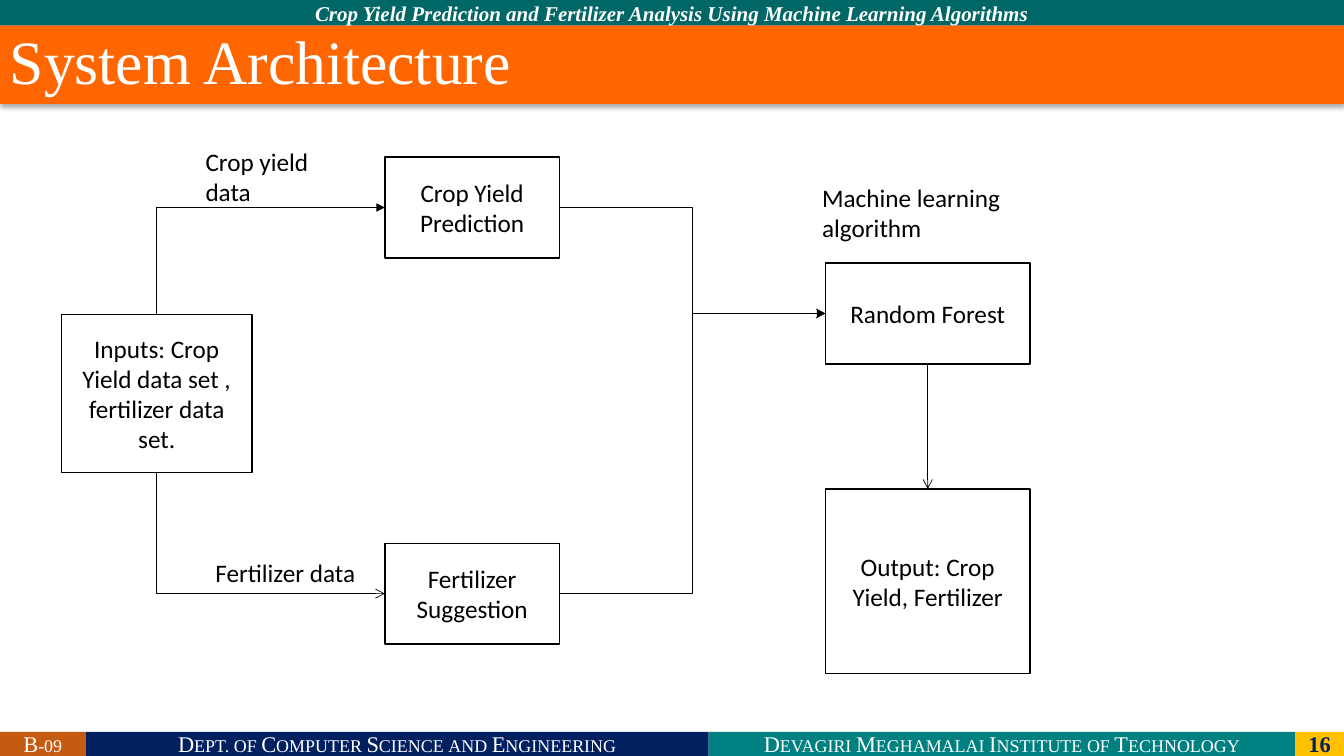
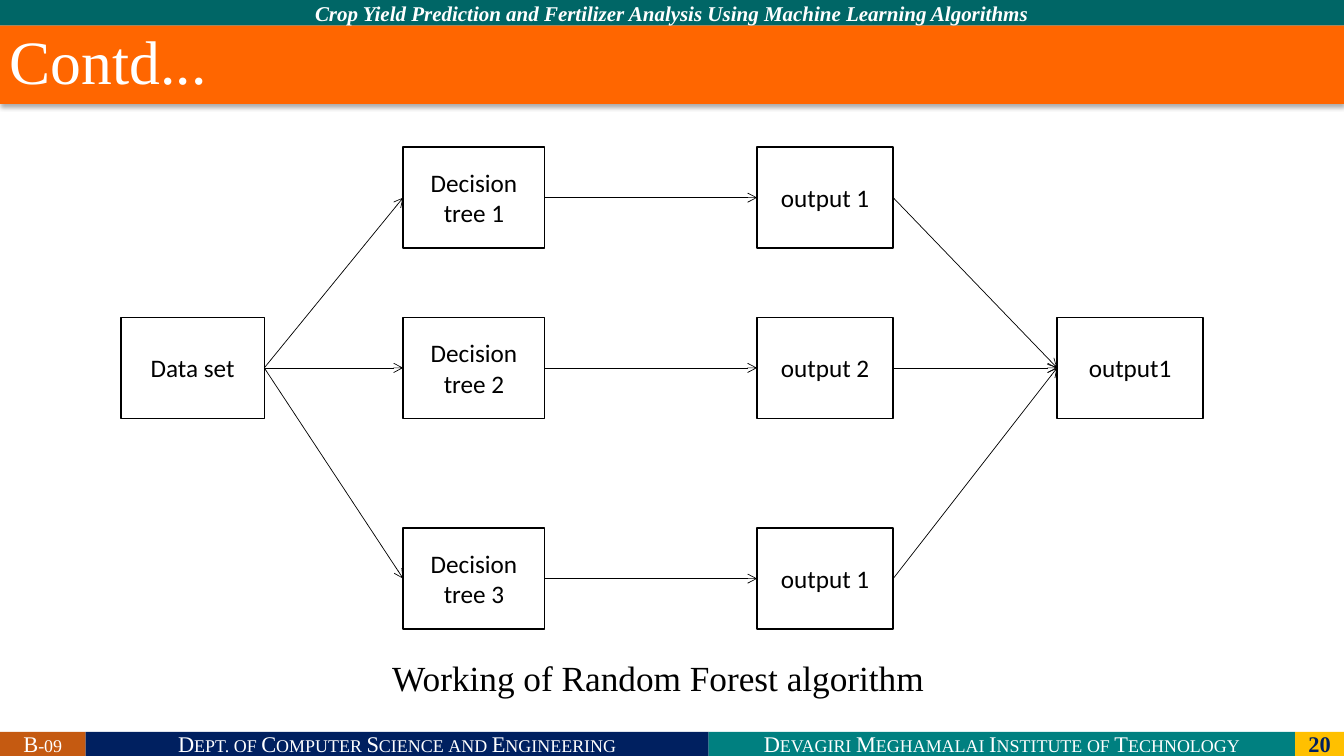
from dataclasses import dataclass
from enum import Enum

from lxml import etree
from pptx import Presentation
from pptx import util as u
from pptx.dml import color
from pptx.enum import shapes, text
from pptx.oxml import ns

SERIF = "Times New Roman"
SANS = "Calibri"
BLACK, WHITE, NAVY = "000000", "FFFFFF", "002060"
SLIDE_WIDTH, SLIDE_HEIGHT = 33.87, 19.05
HEADER_HEIGHT, TITLE_HEIGHT, FOOTER_HEIGHT = 0.64, 1.98, 0.61
FOOTER_EDGES = (0, 2.16, 17.86, 32.64, SLIDE_WIDTH)
BOX_HEIGHT = 2.54


class Side(Enum):
    TOP = 0
    LEFT = 1
    BOTTOM = 2
    RIGHT = 3


@dataclass(frozen=True)
class Area:
    left: float
    top: float
    width: float
    height: float = BOX_HEIGHT

    def lengths(self) -> tuple:
        return tuple(u.Cm(n) for n in (self.left, self.top, self.width, self.height))


@dataclass(frozen=True)
class Style:
    size: float
    font: str = SANS
    colour: str = BLACK
    bold: bool = False
    italic: bool = False
    small_caps: bool = False
    align: text.PP_ALIGN = text.PP_ALIGN.CENTER


@dataclass(frozen=True)
class Band:
    wording: str
    fill: str
    style: Style


@dataclass(frozen=True)
class Node:
    wording: str
    area: Area


@dataclass(frozen=True)
class Link:
    start: str
    start_side: Side
    finish: str
    finish_side: Side
    geometry: str = "line"
    arrow: str = "arrow"
    arrow_end: str = "tailEnd"


NODE_STYLE = Style(18)
LABEL_STYLE = Style(18, align=text.PP_ALIGN.LEFT)
CAPTION_STYLE = Style(25.2, SERIF)
TITLE_STYLE = Style(44, SERIF, WHITE, align=text.PP_ALIGN.LEFT)
HEADER_STYLE = Style(15, SERIF, WHITE, bold=True, italic=True)
FOOTER_STYLE = Style(16, SERIF, WHITE, small_caps=True)
NUMBER_STYLE = Style(16, SERIF, NAVY, bold=True)

HEADER = Band(
    "Crop Yield Prediction and Fertilizer Analysis Using Machine Learning Algorithms",
    "006666",
    HEADER_STYLE,
)
FOOTERS = (
    Band("B-09", "C55A11", FOOTER_STYLE),
    Band("Dept. of Computer Science and Engineering", NAVY, FOOTER_STYLE),
    Band("Devagiri Meghamalai Institute of Technology", "008080", FOOTER_STYLE),
)

ARCHITECTURE_NODES = {
    "inputs": Node(
        "Inputs: Crop Yield data set , fertilizer data set.", Area(1.55, 7.92, 4.8, 3.99)
    ),
    "crop": Node("Crop Yield Prediction", Area(9.7, 3.96, 4.4)),
    "fertilizer": Node("Fertilizer Suggestion", Area(9.7, 13.69, 4.4)),
    "forest": Node("Random Forest", Area(20.8, 6.63, 5.16)),
    "output": Node("Output: Crop Yield, Fertilizer", Area(20.8, 12.32, 5.16, 4.65)),
}
ARCHITECTURE_LINKS = (
    Link("crop", Side.LEFT, "inputs", Side.TOP, "bentConnector2", "triangle", "headEnd"),
    Link("fertilizer", Side.LEFT, "inputs", Side.BOTTOM, "bentConnector2", "arrow", "headEnd"),
    Link("crop", Side.RIGHT, "forest", Side.LEFT, "bentConnector3"),
    Link("fertilizer", Side.RIGHT, "forest", Side.LEFT, "bentConnector3", "triangle"),
    Link("forest", Side.BOTTOM, "output", Side.TOP),
)
ARCHITECTURE_LABELS = (
    Node("Crop yield data", Area(4.93, 3.56, 3.23, 1.8)),
    Node("Fertilizer data", Area(5.18, 13.92, 4.65, 1.02)),
    Node("Machine learning algorithm", Area(20.47, 4.47, 5.49, 1.8)),
)

ROW_TOPS = (3.71, 8, 13.31)
TREE_OUTPUTS = ("output 1", "output 2", "output 1")
CAPTION = Node("Working of Random Forest algorithm", Area(8.59, 16.42, 16, 1.27))


def rgb(value: str) -> color.RGBColor:
    return color.RGBColor.from_string(value)


def write(shape, wording: str, style: Style) -> None:
    shape.text_frame.word_wrap = True
    shape.text_frame.text = wording
    paragraph = shape.text_frame.paragraphs[0]
    paragraph.alignment = style.align
    for run in paragraph.runs:
        font = run.font
        font.name, font.size = style.font, u.Pt(style.size)
        font.bold, font.italic = style.bold, style.italic
        font.color.rgb = rgb(style.colour)
        if style.small_caps:
            run._r.get_or_add_rPr().set("cap", "small")


def add_rectangle(slide, area: Area, fill: str, wording: str, style: Style):
    shape = slide.shapes.add_shape(shapes.MSO_SHAPE.RECTANGLE, *area.lengths())
    shape.shadow.inherit = False
    shape.fill.solid()
    shape.fill.fore_color.rgb = rgb(fill)
    shape.line.fill.background()
    shape.text_frame.vertical_anchor = text.MSO_ANCHOR.MIDDLE
    write(shape, wording, style)
    return shape


def add_band(slide, area: Area, band: Band) -> None:
    shape = add_rectangle(slide, area, band.fill, band.wording, band.style)
    shape.text_frame.margin_top = shape.text_frame.margin_bottom = 0


def add_title(slide, title: str) -> None:
    area = Area(0, HEADER_HEIGHT, SLIDE_WIDTH, TITLE_HEIGHT)
    shape = add_rectangle(slide, area, "FF6600", title, TITLE_STYLE)
    shape.text_frame.paragraphs[0].line_spacing = 0.9
    effects = shape._element.spPr.find(ns.qn("a:effectLst"))
    shadow = etree.SubElement(
        effects,
        ns.qn("a:outerShdw"),
        blurRad=str(u.Pt(3.5)),
        dist=str(u.Pt(2.2)),
        dir="5400000",
        algn="t",
        rotWithShape="0",
    )
    shade = etree.SubElement(shadow, ns.qn("a:srgbClr"), val=BLACK)
    etree.SubElement(shade, ns.qn("a:alpha"), val="32000")


def add_node(slide, node: Node):
    shape = add_rectangle(slide, node.area, WHITE, node.wording, NODE_STYLE)
    shape.line.color.rgb = rgb(BLACK)
    shape.line.width = u.Pt(1)
    return shape


def add_text(slide, node: Node, style: Style) -> None:
    write(slide.shapes.add_textbox(*node.area.lengths()), node.wording, style)


def add_link(slide, link: Link, boxes: dict) -> None:
    straight = link.geometry == "line"
    kind = shapes.MSO_CONNECTOR.STRAIGHT if straight else shapes.MSO_CONNECTOR.ELBOW
    connector = slide.shapes.add_connector(kind, 0, 0, 0, 0)
    connector.begin_connect(boxes[link.start], link.start_side.value)
    connector.end_connect(boxes[link.finish], link.finish_side.value)
    connector.line.color.rgb = rgb(BLACK)
    connector.line.width = u.Pt(0.5)
    properties = connector._element.spPr
    properties.find(ns.qn("a:prstGeom")).set("prst", link.geometry)
    outline = properties.find(ns.qn("a:ln"))
    etree.SubElement(outline, ns.qn(f"a:{link.arrow_end}"), type=link.arrow)
    etree.SubElement(properties, ns.qn("a:effectLst"))


def add_diagram(slide, nodes: dict, links) -> None:
    boxes = {name: add_node(slide, node) for name, node in nodes.items()}
    for link in links:
        add_link(slide, link, boxes)


def add_slide(presentation, title: str, number: int):
    slide = presentation.slides.add_slide(presentation.slide_layouts[6])
    add_title(slide, title)
    add_band(slide, Area(0, 0, SLIDE_WIDTH, HEADER_HEIGHT), HEADER)
    footers = (*FOOTERS, Band(str(number), "FFC000", NUMBER_STYLE))
    footer_top = SLIDE_HEIGHT - FOOTER_HEIGHT
    for band, left, right in zip(footers, FOOTER_EDGES, FOOTER_EDGES[1:]):
        add_band(slide, Area(left, footer_top, right - left, FOOTER_HEIGHT), band)
    return slide


def add_architecture(presentation) -> None:
    slide = add_slide(presentation, "System Architecture", 16)
    add_diagram(slide, ARCHITECTURE_NODES, ARCHITECTURE_LINKS)
    for label in ARCHITECTURE_LABELS:
        add_text(slide, label, LABEL_STYLE)


def add_forest(presentation) -> None:
    slide = add_slide(presentation, "Contd...", 20)
    middle = ROW_TOPS[1]
    nodes = {
        "data": Node("Data set", Area(3.05, middle, 3.61)),
        "result": Node("output1", Area(26.64, middle, 3.68)),
    }
    links = []
    for row, (top, output) in enumerate(zip(ROW_TOPS, TREE_OUTPUTS), start=1):
        tree_name, output_name = f"tree {row}", f"output {row}"
        nodes[tree_name] = Node(f"Decision tree {row}", Area(10.16, top, 3.57))
        nodes[output_name] = Node(output, Area(19.08, top, 3.43))
        chain = ("data", tree_name, output_name, "result")
        links += [Link(a, Side.RIGHT, b, Side.LEFT) for a, b in zip(chain, chain[1:])]
    add_diagram(slide, nodes, links)
    add_text(slide, CAPTION, CAPTION_STYLE)


def main() -> None:
    presentation = Presentation()
    presentation.slide_width = u.Cm(SLIDE_WIDTH)
    presentation.slide_height = u.Cm(SLIDE_HEIGHT)
    add_architecture(presentation)
    add_forest(presentation)
    presentation.save("out.pptx")


if __name__ == "__main__":
    main()
